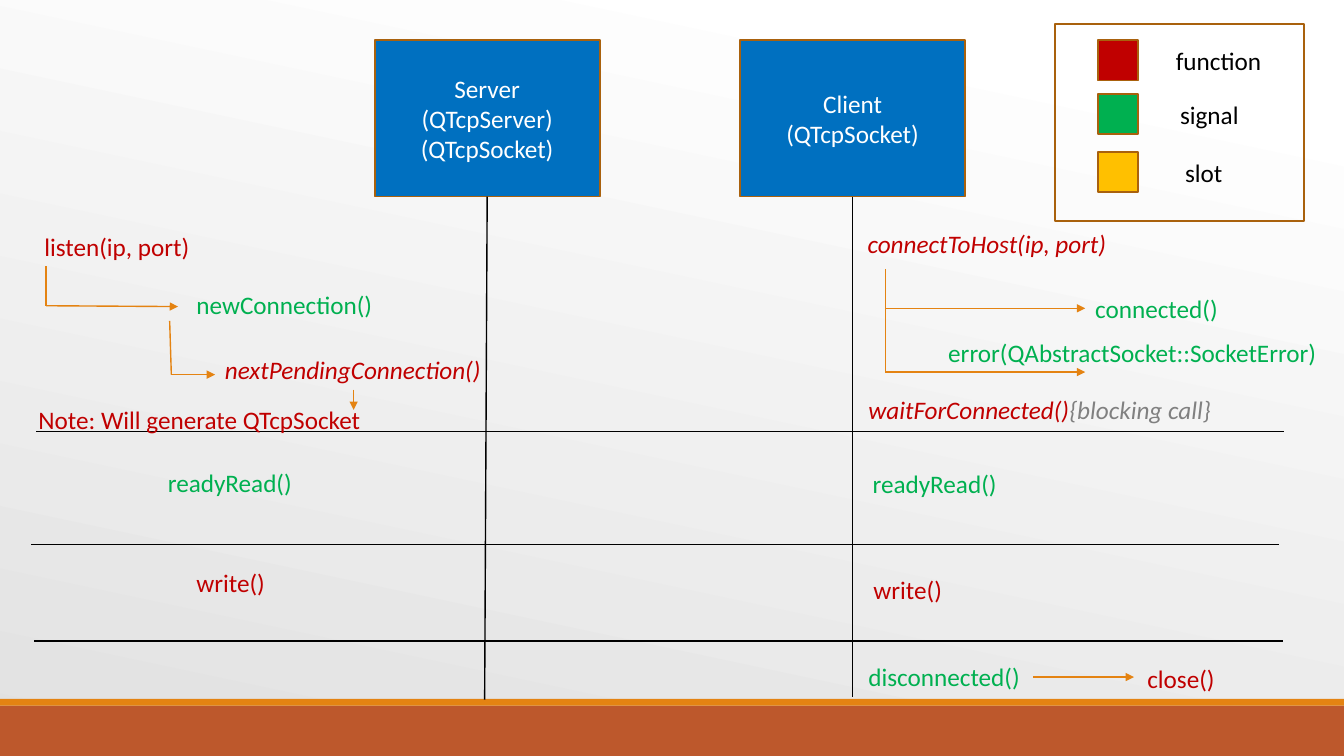
"""Build the slide of server and client socket calls, signals and slots."""
from typing import NamedTuple, Optional

from lxml.etree import SubElement
from pptx import Presentation
from pptx.dml.color import RGBColor
from pptx.enum.shapes import MSO_CONNECTOR, MSO_SHAPE
from pptx.enum.text import MSO_ANCHOR, MSO_AUTO_SIZE, PP_ALIGN
from pptx.oxml.ns import qn
from pptx.util import Inches, Pt

SLIDE_WIDTH, SLIDE_HEIGHT = Inches(13.333), Inches(7.5)
COLUMNS, ROWS = 160, 90
FUNCTION, SIGNAL, SLOT = "C00000", "00B050", "FFC000"
BLACK, WHITE, GREY = "000000", "FFFFFF", "808080"
BLUE, BROWN, ORANGE, RUST = "0070C0", "A9610D", "E48312", "BD582C"
LABEL_ROWS = 4.8
BOX_TOP, BOX_COLUMNS, BOX_ROWS = 4.8, 26.8, 18.6
SWATCH_LEFT, SWATCH_SIZE = 130.7, 4.8
SEPARATOR_COLUMNS = 148.6


class Peer(NamedTuple):
    left: float
    lines: tuple[str, ...]
    foot: tuple[float, float]


class Label(NamedTuple):
    left: float
    top: float
    columns: float
    text: str
    colour: str
    italic: bool = False
    remark: str = ""


class Key(NamedTuple):
    swatch_top: float
    colour: str
    label: Label


class Stroke(NamedTuple):
    start: tuple[float, float]
    end: tuple[float, float]
    colour: str = ORANGE
    arrow: bool = True


PEERS = [
    Peer(44.6, ("Server", "(QTcpServer)", "(QTcpSocket)"), (57.7, 83.3)),
    Peer(88.1, ("Client", "(QTcpSocket)"), (101.5, 83)),
]
SERVER_CALLS = [
    Label(4.1, 26.9, 19.9, "listen(ip, port)", FUNCTION),
    Label(22.2, 33.8, 23.6, "newConnection()", SIGNAL),
    Label(25.6, 41.6, 33.2, "nextPendingConnection()", FUNCTION, True),
    Label(3.4, 47.5, 41.2, "Note: Will generate QTcpSocket", FUNCTION),
    Label(18.8, 55, 17.4, "readyRead()", SIGNAL),
    Label(22.2, 67, 10.7, "write()", FUNCTION),
]
CLIENT_CALLS = [
    Label(102.1, 26.6, 31.1, "connectToHost(ip, port)", FUNCTION, True),
    Label(129.2, 34.3, 17.5, "connected()", SIGNAL),
    Label(111.7, 39.6, 46.7, "error(QAbstractSocket::SocketError)", SIGNAL),
    Label(102.2, 46.4, 45.2, "waitForConnected()", FUNCTION, True, "{blocking call}"),
    Label(102.7, 55.2, 17.4, "readyRead()", SIGNAL),
    Label(102.8, 67.8, 10.7, "write()", FUNCTION),
    Label(102.2, 78.2, 20.6, "disconnected()", SIGNAL),
    Label(135.4, 78.4, 10.9, "close()", FUNCTION),
]
KEYS = [
    Key(4.8, FUNCTION, Label(138.8, 4.8, 12.7, "function", BLACK)),
    Key(11.2, SIGNAL, Label(139.3, 11.2, 9.5, "signal", BLACK)),
    Key(18.1, SLOT, Label(139.9, 18.2, 7, "slot", BLACK)),
]
SEPARATORS = [
    Stroke((left, row), (left + SEPARATOR_COLUMNS, row), BLACK, False)
    for left, row in [(4.3, 51.4), (3.7, 64.8), (4.1, 76.3)]
]
FLOWS = [
    Stroke((105.4, 32), (105.4, 44.3), arrow=False),
    Stroke((105.4, 36.7), (129.2, 36.7)),
    Stroke((105.4, 44.3), (129.2, 44.3)),
    Stroke((123, 80.6), (135, 80.6)),
    Stroke((5.5, 31.7), (5.5, 36.4), arrow=False),
    Stroke((5.5, 36.4), (21.2, 36.5)),
    Stroke((20.2, 38.2), (20.4, 44.6), arrow=False),
    Stroke((20.4, 44.6), (25.6, 44.6)),
    Stroke((42.1, 46.4), (42.1, 48.8)),
]


def across(columns: float) -> int:
    """Turn grid columns into a length."""
    return round(SLIDE_WIDTH * columns / COLUMNS)


def down(rows: float) -> int:
    """Turn grid rows into a length."""
    return round(SLIDE_HEIGHT * rows / ROWS)


def paint(colour_format, colour: str) -> None:
    """Set a colour from a hex string."""
    colour_format.rgb = RGBColor.from_string(colour)


def add_run(paragraph, text: str, *, colour: str, italic: bool = False) -> None:
    """Append formatted text to a paragraph."""
    run = paragraph.add_run()
    run.text = text
    run.font.name, run.font.size = "Calibri", Pt(18)
    run.font.italic = italic
    paint(run.font.color, colour)


def add_box(slide, left: float, top: float, columns: float, rows: float,
            fill: Optional[str] = None, outline: Optional[str] = BROWN):
    """Draw a rectangle placed on the grid."""
    box = slide.shapes.add_shape(
        MSO_SHAPE.RECTANGLE, across(left), down(top), across(columns), down(rows))
    box.shadow.inherit = False
    if fill:
        box.fill.solid()
        paint(box.fill.fore_color, fill)
    else:
        box.fill.background()
    if outline:
        paint(box.line.color, outline)
        box.line.width = Pt(1.25)
    else:
        box.line.fill.background()
    return box


def add_label(slide, label: Label) -> None:
    """Write a call name and its remark."""
    frame = slide.shapes.add_textbox(
        across(label.left), down(label.top),
        across(label.columns), down(LABEL_ROWS)).text_frame
    frame.word_wrap = False
    frame.auto_size = MSO_AUTO_SIZE.SHAPE_TO_FIT_TEXT
    add_run(frame.paragraphs[0], label.text, colour=label.colour, italic=label.italic)
    if label.remark:
        add_run(frame.paragraphs[0], label.remark, colour=GREY, italic=label.italic)


def add_stroke(slide, stroke: Stroke):
    """Draw a straight line, with an arrowhead if asked."""
    (x1, y1), (x2, y2) = stroke.start, stroke.end
    line = slide.shapes.add_connector(
        MSO_CONNECTOR.STRAIGHT, across(x1), down(y1), across(x2), down(y2))
    paint(line.line.color, stroke.colour)
    line.line.width = Pt(1)
    properties = line._element.spPr
    if stroke.arrow:
        SubElement(properties.find(qn("a:ln")), qn("a:tailEnd"), type="triangle")
    SubElement(properties, qn("a:effectLst"))
    return line


def add_peer(slide, peer: Peer) -> None:
    """Draw a peer's box and its lifeline."""
    box = add_box(slide, peer.left, BOX_TOP, BOX_COLUMNS, BOX_ROWS, BLUE)
    frame = box.text_frame
    frame.vertical_anchor = MSO_ANCHOR.MIDDLE
    for index, text in enumerate(peer.lines):
        paragraph = frame.add_paragraph() if index else frame.paragraphs[0]
        paragraph.alignment = PP_ALIGN.CENTER
        add_run(paragraph, text, colour=WHITE)
    top = (peer.left + BOX_COLUMNS / 2, BOX_TOP + BOX_ROWS)
    lifeline = add_stroke(slide, Stroke(top, peer.foot, BLACK, False))
    lifeline.begin_connect(box, 2)


def add_backdrop(slide) -> None:
    """Shade the background and draw the bars at the foot."""
    fill = slide.background.fill
    fill.gradient()
    fill.gradient_angle = 258
    for stop, (position, colour) in zip(fill.gradient_stops, [(0.1, WHITE), (1, "E1E1E1")]):
        stop.position = position
        paint(stop.color, colour)
    add_box(slide, 0, 84, COLUMNS, 6, RUST, None)
    add_box(slide, 0, 83.2, COLUMNS, 0.8, ORANGE, None)


def main() -> None:
    """Build and save the slide."""
    deck = Presentation()
    deck.slide_width, deck.slide_height = SLIDE_WIDTH, SLIDE_HEIGHT
    slide = deck.slides.add_slide(deck.slide_layouts[6])
    add_backdrop(slide)
    for peer in PEERS:
        add_peer(slide, peer)
    add_box(slide, 125.6, 2.9, 29.6, 23.4)
    for key in KEYS:
        add_box(slide, SWATCH_LEFT, key.swatch_top, SWATCH_SIZE, SWATCH_SIZE, key.colour)
        add_label(slide, key.label)
    for stroke in SEPARATORS + FLOWS:
        add_stroke(slide, stroke)
    for label in SERVER_CALLS + CLIENT_CALLS:
        add_label(slide, label)
    deck.save("out.pptx")


if __name__ == "__main__":
    main()
